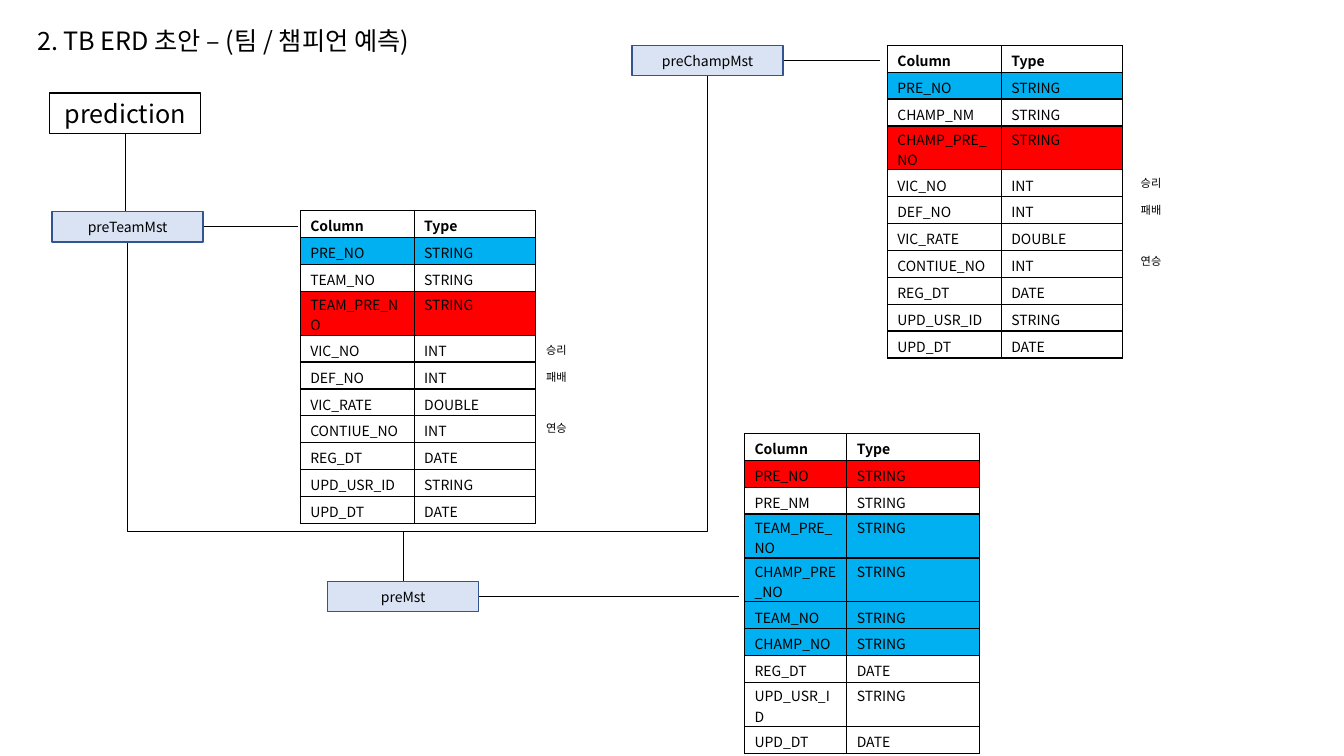
import pptx
import pptx.util
import pptx.dml.color
import pptx.enum.shapes
import pptx.enum.text
import pptx.oxml
import pptx.oxml.ns

Pt = pptx.util.Pt
FONT = "Noto Sans CJK KR"
BLACK, BLUE, RED = "000000", "00B0F0", "FF0000"
PALE, NAVY = "DAE3F3", "325491"

# Content: lengths in points
TITLE = "2. TB ERD 초안 – (팀 / 챔피언 예측)"

# text, left, top, height, size, fill, outline
ENTITIES = [
    ("prediction", 35.4, 66.5, 29, 18, None, BLACK),
    ("preTeamMst", 37.2, 151.2, 21.6, 10, PALE, NAVY),
    ("preChampMst", 451.4, 32.6, 21.6, 10, PALE, NAVY),
    ("preMst", 234, 415.4, 21.6, 10, PALE, NAVY),
]
ENTITY_W = 108

RECORD_FIELDS = [
    ("VIC_NO", "INT"), ("DEF_NO", "INT"), ("VIC_RATE", "DOUBLE"), ("CONTIUE_NO", "INT"),
]
AUDIT_FIELDS = [("REG_DT", "DATE"), ("UPD_USR_ID", "STRING"), ("UPD_DT", "DATE")]

# left, top, column widths, fields, fills by field, fields on two lines
TABLES = [
    (214.4, 150.5, (81.4, 86.6),
     [(name, "STRING") for name in ("PRE_NO", "TEAM_NO", "TEAM_PRE_NO")]
     + RECORD_FIELDS + AUDIT_FIELDS,
     {"PRE_NO": BLUE, "TEAM_PRE_NO": RED}, {"TEAM_PRE_NO"}),
    (633.8, 32.4, (81.4, 86.6),
     [(name, "STRING") for name in ("PRE_NO", "CHAMP_NM", "CHAMP_PRE_NO")]
     + RECORD_FIELDS + AUDIT_FIELDS,
     {"PRE_NO": BLUE, "CHAMP_PRE_NO": RED}, {"CHAMP_PRE_NO"}),
    (531.8, 309.6, (73, 95),
     [(name, "STRING") for name in ("PRE_NO", "PRE_NM", "TEAM_PRE_NO", "CHAMP_PRE_NO",
                                    "TEAM_NO", "CHAMP_NO")]
     + AUDIT_FIELDS,
     {"PRE_NO": RED, "TEAM_PRE_NO": BLUE, "CHAMP_PRE_NO": BLUE,
      "TEAM_NO": BLUE, "CHAMP_NO": BLUE},
     {"TEAM_PRE_NO", "CHAMP_PRE_NO", "UPD_USR_ID"}),
]
ROW_H, TALL_ROW_H = 19.2, 31.4

# Remarks beside the team and champion tables
REMARKS = [("승리", 0), ("패배", 19.4), ("연승", 55.4)]
REMARK_STARTS = [(367.9, 241.9), (792.7, 122.4)]

LINKS = [
    ((144, 161.4), (212.6, 161.4)),
    ((89.6, 95.7), (89.6, 150.5)),
    ((560.2, 43.4), (628.6, 43.4)),
    ((288, 379.8), (288, 415.4)),
    ((342, 426.2), (527.8, 426.2)),
]
TEAM_EXIT, CHAMP_EXIT, JOIN_Y = (91.2, 172.8), (505.4, 54.6), 379.5


def color(value):
    return pptx.dml.color.RGBColor.from_string(value)


def write(frame, text, size=10, bold=False, centered=False):
    paragraph = frame.paragraphs[0]
    if centered:
        paragraph.alignment = pptx.enum.text.PP_ALIGN.CENTER
    run = paragraph.add_run()
    run.text = text
    run.font.size, run.font.bold, run.font.name = Pt(size), bold, FONT
    run.font.color.rgb = color(BLACK)
    east_asian = pptx.oxml.parse_xml(
        f'<a:ea {pptx.oxml.ns.nsdecls("a")} typeface="{FONT}"/>')
    run.font._element.append(east_asian)


def add_text(left, top, width, height, text, **style):
    frame = slide.shapes.add_textbox(Pt(left), Pt(top), Pt(width), Pt(height)).text_frame
    frame.word_wrap = True
    frame.auto_size = pptx.enum.text.MSO_AUTO_SIZE.SHAPE_TO_FIT_TEXT
    write(frame, text, **style)


def add_entity(text, left, top, height, size, fill, outline):
    box = slide.shapes.add_shape(pptx.enum.shapes.MSO_SHAPE.RECTANGLE,
                                 Pt(left), Pt(top), Pt(ENTITY_W), Pt(height))
    box.shadow.inherit = False
    if fill:
        box.fill.solid()
        box.fill.fore_color.rgb = color(fill)
    else:
        box.fill.background()
    box.line.color.rgb = color(outline)
    box.line.width = Pt(1)
    box.text_frame.vertical_anchor = pptx.enum.text.MSO_ANCHOR.MIDDLE
    write(box.text_frame, text, size=size, centered=True)


def add_link(start, end, kind="STRAIGHT"):
    link = slide.shapes.add_connector(pptx.enum.shapes.MSO_CONNECTOR[kind],
                                      *(Pt(value) for value in start + end))
    link.line.color.rgb = color(BLACK)
    link.line.width = Pt(0.5)
    link._element.spPr.append(
        pptx.oxml.parse_xml(f'<a:effectLst {pptx.oxml.ns.nsdecls("a")}/>'))
    return link


def add_joint(start, end, join_y):
    """Elbow that leaves start downwards, runs along join_y and rises to end."""
    mid_x, mid_y = (start[0] + end[0]) / 2, (start[1] + end[1]) / 2
    half_w, half_h = (start[1] - end[1]) / 2, (end[0] - start[0]) / 2
    joint = add_link((mid_x + half_w, mid_y + half_h), (mid_x - half_w, mid_y - half_h), "ELBOW")
    properties = joint._element.spPr
    properties.find(pptx.oxml.ns.qn("a:xfrm")).set("rot", "5400000")
    bend = round((start[1] - join_y) / (2 * half_w) * 100000)
    geometry = properties.find(pptx.oxml.ns.qn("a:prstGeom"))
    for old in list(geometry):
        geometry.remove(old)
    geometry.append(pptx.oxml.parse_xml(
        f'<a:avLst {pptx.oxml.ns.nsdecls("a")}><a:gd name="adj1" fmla="val {bend}"/></a:avLst>'))


def border(cell):
    for position, side in enumerate(("lnL", "lnR", "lnT", "lnB")):
        cell._tc.get_or_add_tcPr().insert(position, pptx.oxml.parse_xml(
            f'<a:{side} {pptx.oxml.ns.nsdecls("a")} w="12700"><a:solidFill>'
            f'<a:srgbClr val="{BLACK}"/></a:solidFill></a:{side}>'))


def add_fields(left, top, widths, fields, fills, tall):
    rows = [("Column", "Type")] + fields
    heights = [TALL_ROW_H if name in tall else ROW_H for name, _ in rows]
    table = slide.shapes.add_table(len(rows), 2, Pt(left), Pt(top),
                                   Pt(sum(widths)), Pt(sum(heights))).table
    table.first_row = table.horz_banding = False
    for column, width in zip(table.columns, widths):
        column.width = Pt(width)
    for r, row in enumerate(rows):
        table.rows[r].height = Pt(heights[r])
        for c, text in enumerate(row):
            cell = table.cell(r, c)
            cell.margin_top = Pt(2.4 if row[0] in tall else 3.6)
            cell.margin_bottom = Pt(0)
            if row[0] in fills:
                cell.fill.solid()
                cell.fill.fore_color.rgb = color(fills[row[0]])
            else:
                cell.fill.background()
            border(cell)
            write(cell.text_frame, text, bold=r == 0)


# Slide
deck = pptx.Presentation()
deck.slide_width, deck.slide_height = Pt(960), Pt(540)
slide = deck.slides.add_slide(deck.slide_layouts[6])

add_text(19.4, 14.4, 334.8, 28.8, TITLE, size=18)

# Links, then entities and their tables
for start, end in LINKS:
    add_link(start, end)
add_joint(TEAM_EXIT, CHAMP_EXIT, JOIN_Y)
for entity in ENTITIES:
    add_entity(*entity)
for fields_table in TABLES:
    add_fields(*fields_table)

# Remarks
for left, top in REMARK_STARTS:
    for text, drop in REMARKS:
        add_text(left, top + drop, 59, 17.3, text, size=8, centered=True)

deck.save("out.pptx")
